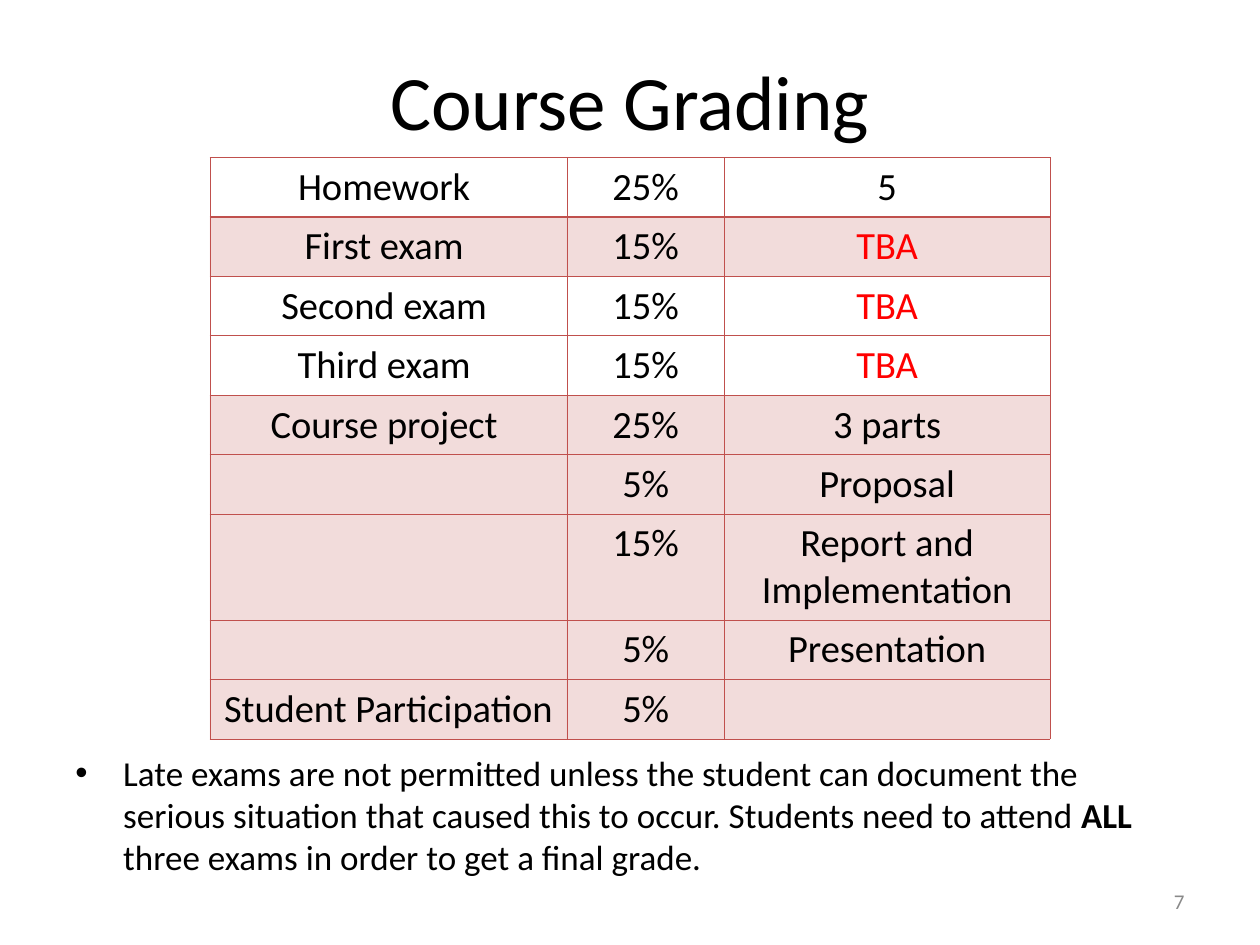
from dataclasses import dataclass

from lxml.etree import SubElement
from pptx import Presentation
from pptx.dml.color import RGBColor
from pptx.enum.text import MSO_ANCHOR, PP_ALIGN
from pptx.oxml.ns import qn
from pptx.util import Inches, Pt


@dataclass(frozen=True)
class Theme:
    font: str = "Calibri"
    ink: str = "000000"
    alert: str = "FF0000"
    muted: str = "898989"
    accent: str = "C0504D"
    tint_percent: int = 20
    title_size: int = 44
    table_size: int = 22
    body_size: int = 20
    number_size: int = 12
    thin_line: float = 0.45
    header_line: float = 0.96


THEME = Theme()
SLIDE_WIDTH, SLIDE_HEIGHT = Inches(10), Inches(7.5)
UNIT = SLIDE_WIDTH / 60  # the slide is a grid of 60 columns and 45 rows

COLUMN_SPANS = (17, 7.5, 15.5)
ROW_SPAN, TALL_ROW_SPAN = 2.83, 5.05
TALL_ROW = 6
PLAIN_ROWS = (0, 2, 3)
GRADING = (
    ("Homework ", "25%", "5"),
    ("First exam ", "15%", "TBA"),
    ("Second exam ", "15%", "TBA"),
    ("Third exam ", "15%", "TBA"),
    ("Course project ", "25%", "3 parts"),
    ("", "5%", "Proposal"),
    ("", "15%", "Report and Implementation"),
    ("", "5%", "Presentation"),
    ("Student Participation", "5%", ""),
)
LATE_POLICY = (
    ("Late exams are not permitted unless the student can document the serious "
     "situation that caused this to occur. Students need to attend ", False),
    ("ALL", True),
    (" three exams in order to get a final grade.", False),
)


def grid(*spans):
    return [round(span * UNIT) for span in spans]


def add_span(para, text, size, color=THEME.ink, bold=False):
    span = para.add_run()
    span.text = text
    span.font.name = THEME.font
    span.font.size = Pt(size)
    span.font.bold = bold
    span.font.color.rgb = RGBColor.from_string(color)


def add_text_box(page, area, align, anchor):
    """Add a wrapping text box and return its first paragraph."""
    frame = page.shapes.add_textbox(*grid(*area)).text_frame
    frame.word_wrap = True
    frame.vertical_anchor = anchor
    para = frame.paragraphs[0]
    para.alignment = align
    return para


def set_bullet(para, indent):
    properties = para._p.get_or_add_pPr()
    properties.set("marL", str(indent))
    properties.set("indent", str(-indent))
    SubElement(properties, qn("a:buFont"), typeface="Arial")
    SubElement(properties, qn("a:buChar"), char="•")


def add_solid_fill(parent, color):
    fill = SubElement(parent, qn("a:solidFill"))
    return SubElement(fill, qn("a:srgbClr"), val=color)


def style_cell(cell, row):
    """Draw the cell borders, with a heavier rule under the first row, then the fill."""
    properties = cell._tc.get_or_add_tcPr()
    heavy_side = {0: "lnB", 1: "lnT"}.get(row)
    for side in ("lnL", "lnR", "lnT", "lnB"):
        width = THEME.header_line if side == heavy_side else THEME.thin_line
        line = SubElement(properties, qn(f"a:{side}"), w=str(Pt(width)))
        add_solid_fill(line, THEME.accent)
    if row in PLAIN_ROWS:
        cell.fill.background()
    else:
        color = add_solid_fill(properties, THEME.accent)
        SubElement(color, qn("a:alpha"), val=str(THEME.tint_percent * 1000))


def add_grading_table(page):
    heights = [TALL_ROW_SPAN if row == TALL_ROW else ROW_SPAN
               for row in range(len(GRADING))]
    area = grid(10, 7.5, sum(COLUMN_SPANS), sum(heights))
    table = page.shapes.add_table(len(GRADING), len(COLUMN_SPANS), *area).table
    table.first_row = table.horz_banding = False
    for column, width in zip(table.columns, grid(*COLUMN_SPANS)):
        column.width = width
    for row, height in zip(table.rows, grid(*heights)):
        row.height = height
    for row, texts in enumerate(GRADING):
        for column, text in enumerate(texts):
            cell = table.cell(row, column)
            style_cell(cell, row)
            para = cell.text_frame.paragraphs[0]
            para.alignment = PP_ALIGN.CENTER
            if text:
                color = THEME.alert if text == "TBA" else THEME.ink
                add_span(para, text, THEME.table_size, color)


def add_title(page):
    para = add_text_box(page, (3, 1, 54, 7.5), PP_ALIGN.CENTER, MSO_ANCHOR.MIDDLE)
    add_span(para, "Course Grading", THEME.title_size)


def add_late_policy(page):
    para = add_text_box(page, (3, 35.5, 54, 15), PP_ALIGN.LEFT, MSO_ANCHOR.TOP)
    para.space_before = Pt(5)
    set_bullet(para, Inches(0.38))
    for text, bold in LATE_POLICY:
        add_span(para, text, THEME.body_size, bold=bold)


def add_page_number(page):
    para = add_text_box(page, (43, 41.7, 14, 2.4), PP_ALIGN.RIGHT, MSO_ANCHOR.MIDDLE)
    add_span(para, "7", THEME.number_size, THEME.muted)


def main():
    deck = Presentation()
    deck.slide_width, deck.slide_height = SLIDE_WIDTH, SLIDE_HEIGHT
    page = deck.slides.add_slide(deck.slide_layouts[6])
    add_page_number(page)
    add_title(page)
    add_late_policy(page)
    add_grading_table(page)
    deck.save("out.pptx")


if __name__ == "__main__":
    main()
